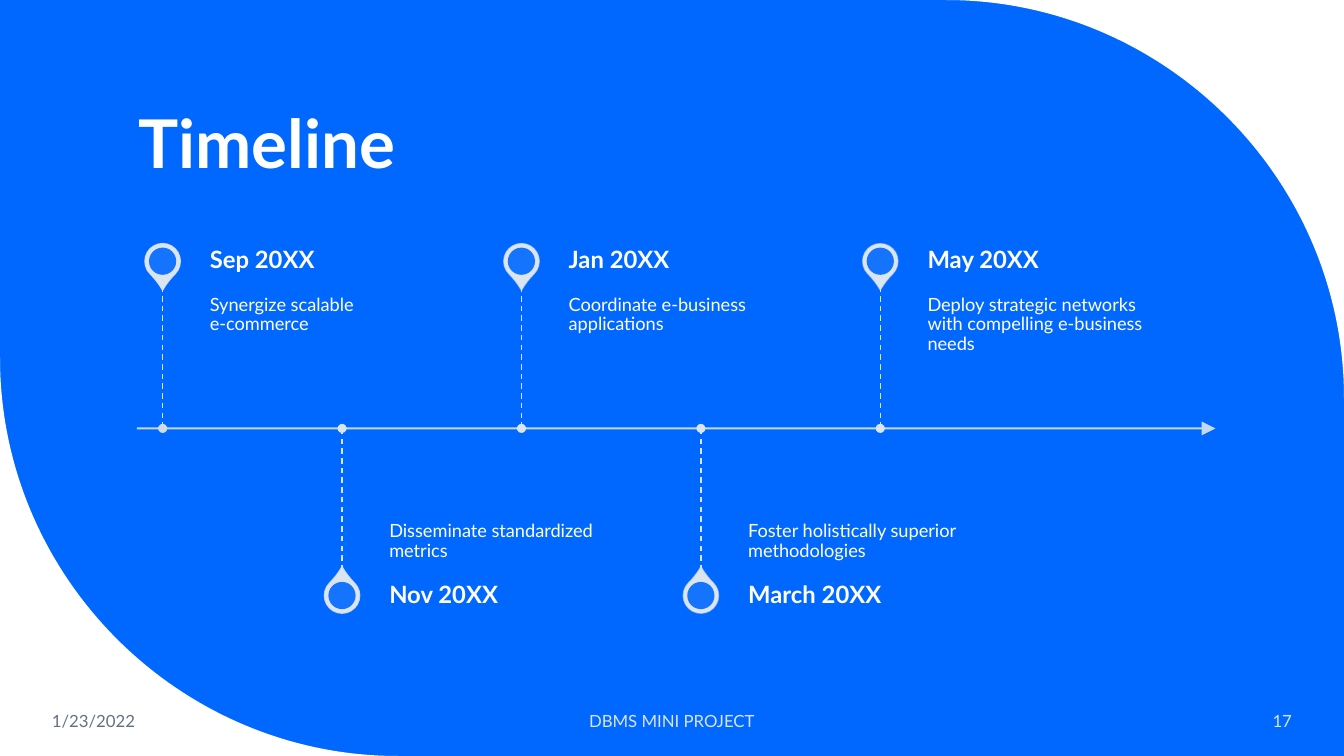
from lxml import etree
from pptx import Presentation
from pptx import util as u
from pptx.dml.color import RGBColor
from pptx.enum import dml, shapes, text
from pptx.oxml.ns import qn

COLS, ROWS = 160, 90
CELL = u.Inches(1) / 12
BLUE, WHITE, PALE, GREY = "0068FF", "FFFFFF", "DAE5EF", "637183"
KIND = shapes.MSO_SHAPE
SIDE = text.PP_ALIGN
ANCHOR = text.MSO_ANCHOR


def grid(*cells):
    return [round(c * CELL) for c in cells]


def paint(fill, tone, alpha=100):
    fill.solid()
    fill.fore_color.rgb = RGBColor.from_string(tone)
    if alpha < 100:
        node = next(fill._xPr.iter(qn("a:srgbClr")))
        etree.SubElement(node, qn("a:alpha"), val=str(alpha * 1000))


def write(box, words, size=13, tone=WHITE, bold=False, side=SIDE.LEFT,
          anchor=ANCHOR.MIDDLE, space=1, pad=(0.1, 0.05, 0.1, 0.05)):
    frame = box.text_frame
    frame.word_wrap = True
    frame.auto_size = text.MSO_AUTO_SIZE.NONE
    frame.vertical_anchor = anchor
    (frame.margin_left, frame.margin_top,
     frame.margin_right, frame.margin_bottom) = map(u.Inches, pad)
    para = frame.paragraphs[0]
    para.text = words
    para.alignment = side
    para.line_spacing = space
    for run in para.runs:
        font = run.font
        font.name, font.size, font.bold = "Lato", u.Pt(size), bold
        paint(font.fill, tone)
    for gap in para._p.iter(qn("a:br")):
        etree.SubElement(gap, qn("a:rPr"), sz=str(size * 100))


class Deck:
    def __init__(self, ground):
        self.show = Presentation()
        self.show.slide_width, self.show.slide_height = grid(COLS, ROWS)
        self.slide = self.show.slides.add_slide(self.show.slide_layouts[5])
        self.items = self.slide.shapes
        paint(self.slide.background.fill, ground)

    def title(self, words, x, y, w, h):
        box = self.items.title
        box.left, box.top, box.width, box.height = grid(x, y, w, h)
        write(box, words, size=48, bold=True, anchor=ANCHOR.BOTTOM, space=0.9)

    def label(self, words, x, y, w, h, **style):
        write(self.items.add_textbox(*grid(x, y, w, h)), words, **style)

    def shape(self, kind, x, y, size, tone, alpha=100):
        half = size / 2
        item = self.items.add_shape(kind, *grid(x - half, y - half, size, size))
        item.shadow.inherit = False
        paint(item.fill, tone, alpha)
        item.line.fill.background()
        return item

    def drop(self, x, y, size, turn, alpha):
        item = self.shape(KIND.TEAR, x, y, size, PALE)
        item.adjustments[0] = 1.15
        item.rotation = turn
        paint(item.line.fill, PALE, alpha)
        item.line.width = u.Pt(1)

    def line(self, x1, y1, x2, y2, width=1, alpha=100, dash=False, arrow=False):
        item = self.items.add_connector(
            shapes.MSO_CONNECTOR.STRAIGHT, *grid(x1, y1, x2, y2))
        paint(item.line.fill, PALE, alpha)
        item.line.width = u.Pt(width)
        if dash:
            item.line.dash_style = dml.MSO_LINE.DASH
        if arrow:
            etree.SubElement(item.line._ln, qn("a:tailEnd"),
                             type="triangle", w="lg", len="lg")
        etree.SubElement(item._element.spPr, qn("a:effectLst"))

    def corner(self, x, y, across, down):
        pull = 0.45
        points = [(x + across, y), (x + across * pull, y),
                  (x, y + down * pull), (x, y + down)]
        form = self.items.build_freeform(*grid(x, y))
        form.add_line_segments([grid(*p) for p in points], close=True)
        item = form.convert_to_shape()
        steps = list(item._element.iter(qn("a:lnTo")))[1:4]
        curve = etree.Element(qn("a:cubicBezTo"))
        steps[0].addprevious(curve)
        for step in steps:
            curve.append(step[0])
            step.getparent().remove(step)
        item.shadow.inherit = False
        paint(item.fill, WHITE)
        item.line.fill.background()


deck = Deck(BLUE)
BEND = 47.4
deck.corner(COLS, 0, -BEND, BEND)
deck.corner(0, ROWS, BEND, -BEND)
deck.title("Timeline", 15.3, 5, 128.3, 17.4)

AXIS, FIRST, STEP = 51, 19.36, 21.36
ARM, REACH, WIDE, HEAD = 16.92, 19.9, 30.4, 6
deck.line(16.3, AXIS, 144.7, AXIS, width=1.5, alpha=90, arrow=True)

events = [
    ("Sep 20XX", "Synergize scalable\ne-commerce"),
    ("Nov 20XX", "Disseminate standardized metrics"),
    ("Jan 20XX", "Coordinate e-business applications"),
    ("March 20XX", "Foster holistically superior methodologies"),
    ("May 20XX", "Deploy strategic networks with compelling e-business needs"),
]
for num, (date, note) in enumerate(events):
    x = FIRST + num * STEP
    left = x + 5.62
    below = num % 2
    way = 1 if below else -1
    tip, pin = AXIS + way * ARM, AXIS + way * REACH
    deck.drop(x, pin, 4.2, 315 if below else 135, 90 - 10 * num)
    deck.shape(KIND.OVAL, x, pin, 3.24, BLUE, 90)
    deck.label(note, left, min(tip, AXIS), WIDE, ARM, space=0.9,
               anchor=ANCHOR.BOTTOM if below else ANCHOR.TOP,
               pad=(0, 0.14, 0, 0.09) if below else (0, 0.09, 0.09, 0.14))
    deck.label(date, left, tip if below else tip - HEAD, WIDE, HEAD, size=17,
               bold=True, space=0.9, pad=(0, 0, 0.12, 0))
    deck.line(x, tip, x, AXIS, dash=True)
    deck.shape(KIND.OVAL, x, AXIS, 1.08, PALE if num else "D0DBE4")

for words, x, wide, tone, side in [
    ("1/23/2022", 5, 22.3, GREY, SIDE.LEFT),
    ("DBMS MINI PROJECT", 53, 54, PALE, SIDE.CENTER),
    ("17", 133.2, 21.8, PALE, SIDE.RIGHT),
]:
    deck.label(words, x, 83.4, wide, 4.8, size=12, tone=tone, side=side)

deck.show.save("out.pptx")
